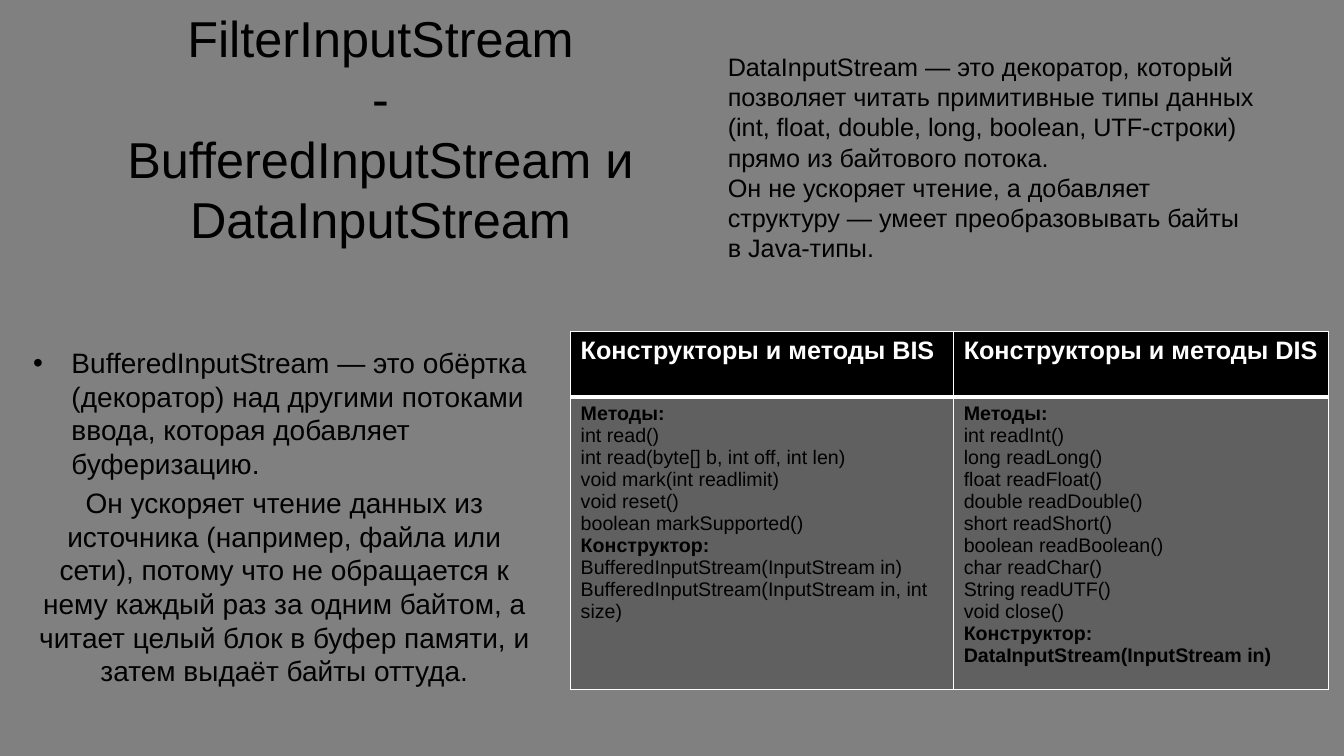
from lxml.etree import SubElement
from pptx import Presentation
from pptx.dml.color import RGBColor
from pptx.enum.text import MSO_ANCHOR, MSO_AUTO_SIZE, PP_ALIGN
from pptx.oxml.ns import qn
from pptx.util import Inches, Pt

COLORS = {"page": "808080", "ink": "000000", "head": "000000",
          "cell": "606060", "line": "FFFFFF", "head_text": "FFFFFF"}
FONT = "Arial"


def color(name):
    return RGBColor.from_string(COLORS[name])


class SlideBuilder:
    """Holds the style and the page; lengths are percentages of the slide."""

    def __init__(self, deck):
        self.deck = deck
        self.page = deck.slides.add_slide(deck.slide_layouts[5])
        fill = self.page.background.fill
        fill.solid()
        fill.fore_color.rgb = color("page")

    def across(self, share):
        return round(self.deck.slide_width * share / 100)

    def down(self, share):
        return round(self.deck.slide_height * share / 100)

    def area(self, left, top, width, height):
        return self.across(left), self.down(top), self.across(width), self.down(height)

    def set_lines(self, frame, lines, size, ink="ink", align=None, bold=()):
        frame.word_wrap = True
        for index, line in enumerate(lines):
            para = frame.paragraphs[0] if index == 0 else frame.add_paragraph()
            para.text = line
            para.alignment = align
            para.font.name = FONT
            para.font.size = Pt(size)
            para.font.bold = line in bold
            para.font.color.rgb = color(ink)

    def title(self, text, area, size):
        box = self.page.shapes.title
        box.left, box.top, box.width, box.height = self.area(*area)
        frame = box.text_frame
        self.set_lines(frame, [text], size, align=PP_ALIGN.CENTER)
        frame.auto_size = MSO_AUTO_SIZE.NONE
        frame.vertical_anchor = MSO_ANCHOR.MIDDLE
        frame.margin_bottom = Inches(0.65)  # lifts the centred lines

    def text(self, lines, area, size):
        box = self.page.shapes.add_textbox(*self.area(*area))
        self.set_lines(box.text_frame, lines, size)
        return box.text_frame.paragraphs

    def bullet(self, para, indent):
        props = para._p.get_or_add_pPr()
        props.set("marL", str(Inches(indent)))
        props.set("indent", str(-Inches(indent)))
        font = SubElement(props, qn("a:buFont"), typeface=FONT)
        font.addnext(SubElement(props, qn("a:buChar"), char="•"))
        default = props.find(qn("a:defRPr"))
        if default is not None:
            props.append(default)  # the schema wants it after the bullet

    def border(self, cell, widths):
        props = cell._tc.get_or_add_tcPr()
        for index, (side, width) in enumerate(zip("LRTB", widths)):
            line = SubElement(props, qn(f"a:ln{side}"), w=str(Pt(width)))
            props.remove(line)
            props.insert(index, line)
            solid = SubElement(line, qn("a:solidFill"))
            SubElement(solid, qn("a:srgbClr"), val=COLORS["line"])

    def table(self, columns, left, top, widths, heights, bold):
        area = self.area(left, top, sum(widths), sum(heights))
        table = self.page.shapes.add_table(2, len(columns), *area).table
        for row, height in zip(table.rows, heights):
            row.height = self.down(height)
        for number, (heading, lines) in enumerate(columns.items()):
            table.columns[number].width = self.across(widths[number])
            head, body = table.cell(0, number), table.cell(1, number)
            self.set_lines(head.text_frame, [heading], 18, "head_text", bold=[heading])
            self.set_lines(body.text_frame, lines, 14, bold=bold)
            for cell, fill, edges in ((head, "head", (1, 1, 1, 3)),
                                      (body, "cell", (1, 1, 3, 1))):
                cell.fill.solid()
                cell.fill.fore_color.rgb = color(fill)
                self.border(cell, edges)


def main():
    deck = Presentation()
    deck.slide_width, deck.slide_height = Inches(13.33), Inches(7.5)
    slide = SlideBuilder(deck)

    # Title
    slide.title("FilterInputStream\v-\vBufferedInputStream и DataInputStream",
                (0, 9.2, 56.64, 23.47), 36)

    # Buffered stream: bulleted definition and centred explanation
    definition, reason = slide.text([
        "BufferedInputStream — это обёртка (декоратор) над другими потоками ввода, "
        "которая добавляет буферизацию.",
        "Он ускоряет чтение данных из источника (например, файла или сети), потому что "
        "не обращается к нему каждый раз за одним байтом, а читает целый блок в буфер "
        "памяти, и затем выдаёт байты оттуда.",
    ], (1.73, 45.07, 38.86, 49.6), 20)
    definition.space_before = reason.space_before = Pt(4)
    reason.alignment = PP_ALIGN.CENTER
    slide.bullet(definition, 0.38)

    # Data stream
    slide.text([
        "DataInputStream — это декоратор, который позволяет читать примитивные типы "
        "данных (int, float, double, long, boolean, UTF-строки) прямо из байтового потока.",
        "Он не ускоряет чтение, а добавляет структуру — умеет преобразовывать байты "
        "в Java-типы.",
    ], (53.41, 6.13, 41.04, 29.6), 18)

    # Constructors and methods
    methods, constructor = "Методы:", "Конструктор:"
    data_constructor = "DataInputStream(InputStream in)"
    slide.table({
        "Конструкторы и методы BIS": [
            methods, "int read()", "int read(byte[] b, int off, int len)",
            "void mark(int readlimit)", "void reset()", "boolean markSupported()",
            constructor, "BufferedInputStream(InputStream in)",
            "BufferedInputStream(InputStream in, int size)"],
        "Конструкторы и методы DIS": [
            methods, "int readInt()", "long readLong()", "float readFloat()",
            "double readDouble()", "short readShort()", "boolean readBoolean()",
            "char readChar()", "String readUTF()", "void close()",
            constructor, data_constructor],
    }, 42.46, 43.87, (28.5, 27.9), (8.67, 38.13), (methods, constructor, data_constructor))

    deck.save("out.pptx")


if __name__ == "__main__":
    main()
